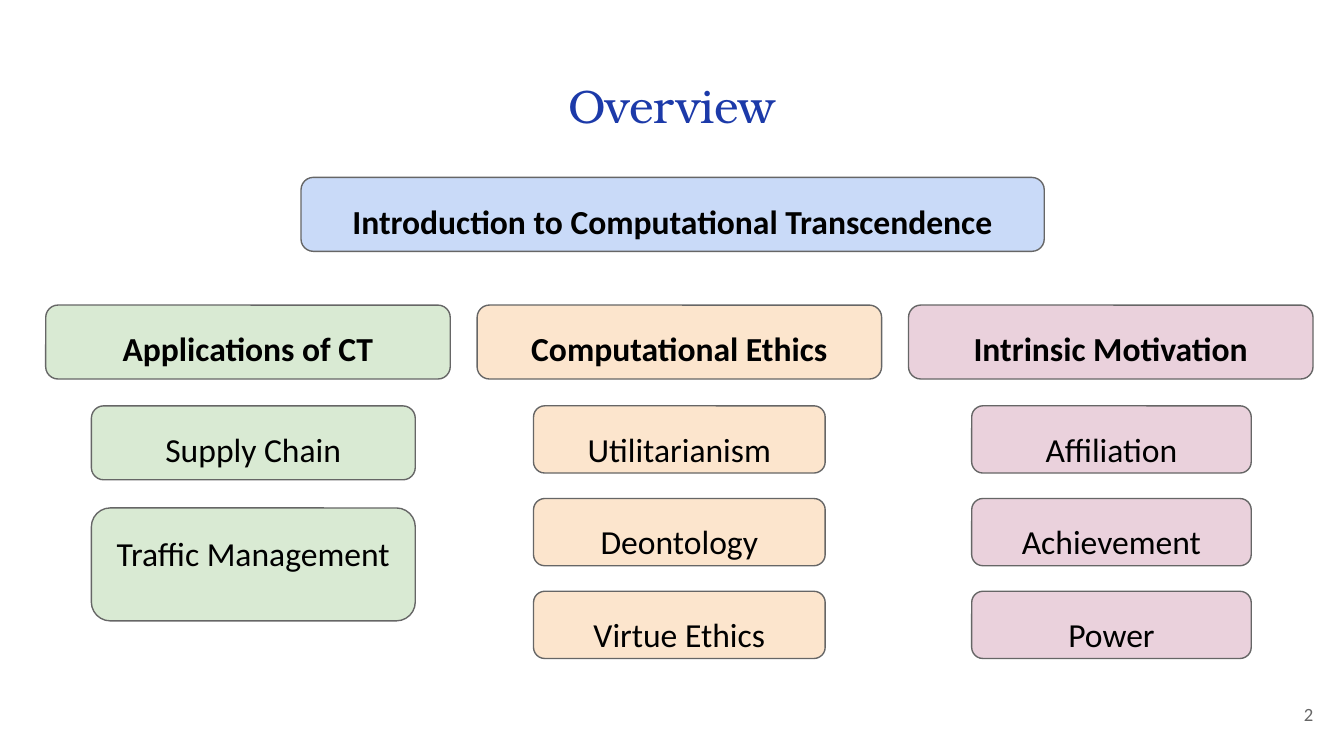
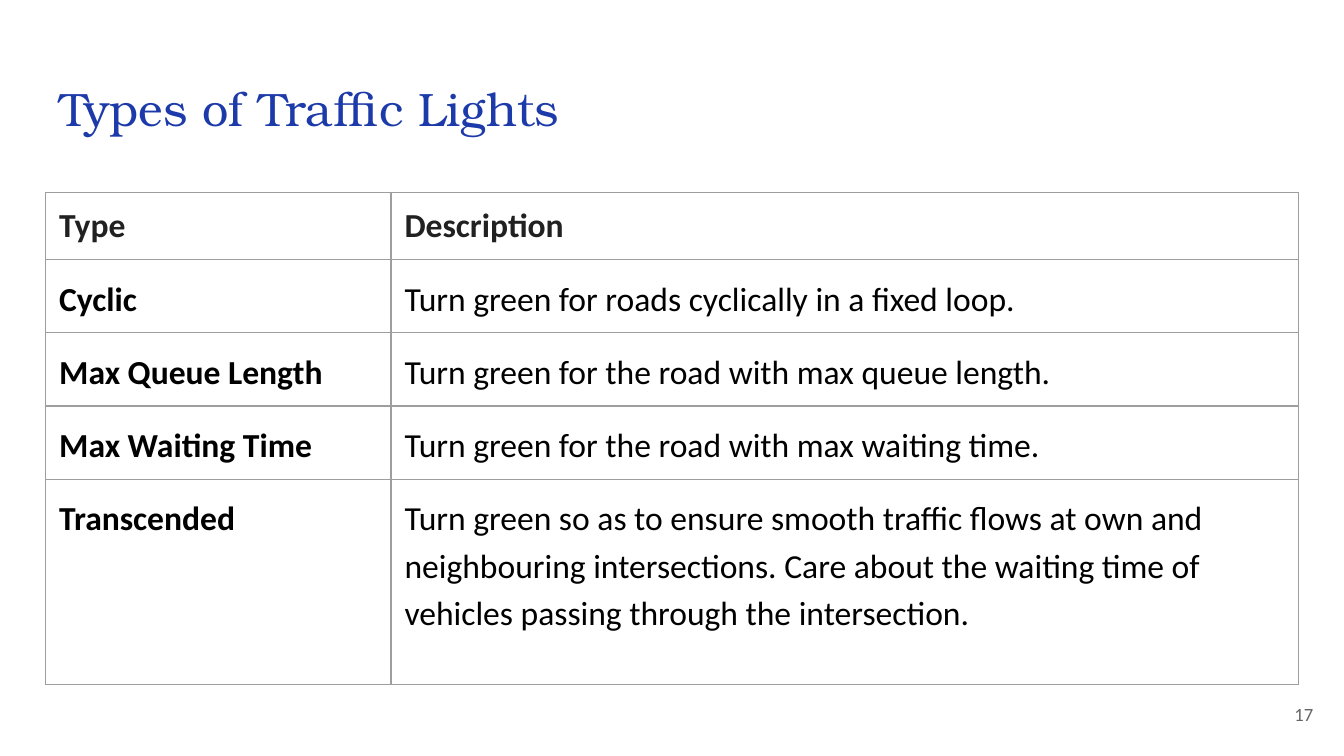
from dataclasses import dataclass

from pptx import Presentation
from pptx.dml.color import RGBColor
from pptx.enum.shapes import MSO_SHAPE as Preset
from pptx.enum.text import MSO_ANCHOR as Anchor, MSO_AUTO_SIZE as AutoSize, PP_ALIGN as Align
from pptx.oxml import parse_xml
from pptx.oxml.ns import nsdecls
from pptx.util import Inches, Pt

SLIDE_WIDTH = 10
SLIDE_HEIGHT = SLIDE_WIDTH * 9 / 16
TITLE_FONT, BODY_FONT = "TeX Gyre Bonum", "Calibri"
TITLE_BLUE, BLACK, HEADER_INK, GREY, BORDER = "1C3AA9", "000000", "212121", "666666", "9E9E9E"
BLUE, GREEN, ORANGE, PINK = "C9DAF8", "D9EAD3", "FCE5CD", "EAD1DC"
MARGIN, CONTENT_WIDTH = 0.34, 9.32
NUMBER_RIGHT = 9.87
INSET = 0.1
BODY_SIZE = 18
HEADING_HEIGHT = 0.55
COLUMN_WIDTH, COLUMN_PITCH, COLUMN_TOP = 3.01, 3.21, 2.27
ITEM_TOP = 3.02


@dataclass
class Topic:
    heading: str
    color: str
    items: list[str]
    item_left: float
    item_width: float
    item_heights: list[float]
    gap: float


TOPICS = [
    Topic("Applications of CT", GREEN, ["Supply Chain", "Traffic Management"],
          0.68, 2.41, [0.55, 0.84], 0.21),
    Topic("Computational Ethics", ORANGE, ["Utilitarianism", "Deontology", "Virtue Ethics"],
          3.97, 2.17, [0.5] * 3, 0.19),
    Topic("Intrinsic Motivation", PINK, ["Affiliation", "Achievement", "Power"],
          7.23, 2.08, [0.5] * 3, 0.19),
]

LIGHT_TYPES = [
    ("Type", "Description"),
    ("Cyclic", "Turn green for roads cyclically in a fixed loop."),
    ("Max Queue Length", "Turn green for the road with max queue length."),
    ("Max Waiting Time", "Turn green for the road with max waiting time."),
    ("Transcended", "Turn green so as to ensure smooth traffic flows at own and neighbouring "
                    "intersections. Care about the waiting time of vehicles passing through "
                    "the intersection."),
]
TABLE_COLUMNS = [2.57, 6.75]
TABLE_ROWS = [0.5, 0.5, 0.5, 0.5, 1.53]


def rgb(color: str) -> RGBColor:
    return RGBColor.from_string(color)


def add_run(paragraph, text: str, size: float, color: str, font: str = BODY_FONT,
            bold: bool = False) -> None:
    run = paragraph.add_run()
    run.text = text
    run.font.name = font
    run.font.size = Pt(size)
    run.font.bold = bold
    run.font.color.rgb = rgb(color)


def space_body(paragraph) -> None:
    paragraph.line_spacing = 1.15
    paragraph.space_before = Pt(12)


def set_insets(target, left: float = INSET, bottom: float = INSET) -> None:
    """Set the inner margins of a text frame or table cell."""
    target.margin_left, target.margin_right = Inches(left), Inches(INSET)
    target.margin_top, target.margin_bottom = Inches(INSET), Inches(bottom)


def add_slide(presentation, title: str, title_top: float, alignment: Align,
              number: str, number_width: float):
    """Add a slide with its title and page number."""
    slide = presentation.slides.add_slide(presentation.slide_layouts[5])
    heading = slide.shapes.title
    heading.left, heading.top = Inches(MARGIN), Inches(title_top)
    heading.width, heading.height = Inches(CONTENT_WIDTH), Inches(0.63)
    frame = heading.text_frame
    frame.auto_size = AutoSize.NONE
    frame.vertical_anchor = Anchor.TOP
    set_insets(frame)
    frame.paragraphs[0].alignment = alignment
    add_run(frame.paragraphs[0], title, 25.1, TITLE_BLUE, TITLE_FONT)

    box = slide.shapes.add_textbox(Inches(NUMBER_RIGHT - number_width), Inches(5.13),
                                   Inches(number_width), Inches(0.37))
    frame = box.text_frame
    frame.word_wrap = False
    frame.vertical_anchor = Anchor.MIDDLE
    set_insets(frame, left=0)
    frame.paragraphs[0].alignment = Align.RIGHT
    add_run(frame.paragraphs[0], number, 10, GREY)
    return slide


def add_box(slide, text: str, color: str, left: float, top: float, width: float,
            height: float, bold: bool = False) -> None:
    shape = slide.shapes.add_shape(Preset.ROUNDED_RECTANGLE, Inches(left), Inches(top),
                                   Inches(width), Inches(height))
    shape.shadow.inherit = False
    shape.fill.solid()
    shape.fill.fore_color.rgb = rgb(color)
    shape.line.color.rgb = rgb(GREY)
    shape.line.width = Pt(0.75)
    frame = shape.text_frame
    frame.word_wrap = True
    frame.vertical_anchor = Anchor.TOP
    set_insets(frame, bottom=0)
    paragraph = frame.paragraphs[0]
    paragraph.alignment = Align.CENTER
    space_body(paragraph)
    add_run(paragraph, text, BODY_SIZE, BLACK, bold=bold)


def add_topic(slide, topic: Topic, left: float) -> None:
    add_box(slide, topic.heading, topic.color, left, COLUMN_TOP, COLUMN_WIDTH,
            HEADING_HEIGHT, bold=True)
    top = ITEM_TOP
    for item, height in zip(topic.items, topic.item_heights):
        add_box(slide, item, topic.color, topic.item_left, top, topic.item_width, height)
        top += height + topic.gap


def set_borders(cell) -> None:
    properties = cell._tc.get_or_add_tcPr()
    for index, side in enumerate(("lnL", "lnR", "lnT", "lnB")):
        properties.insert(index, parse_xml(
            f'<a:{side} {nsdecls("a")} w="{Pt(0.75)}"><a:solidFill>'
            f'<a:srgbClr val="{BORDER}"/></a:solidFill></a:{side}>'))


def add_light_table(slide) -> None:
    table = slide.shapes.add_table(
        len(TABLE_ROWS), len(TABLE_COLUMNS), Inches(MARGIN), Inches(1.43),
        Inches(CONTENT_WIDTH), Inches(sum(TABLE_ROWS))).table
    table.first_row = table.horz_banding = False
    for column, width in zip(table.columns, TABLE_COLUMNS):
        column.width = Inches(width)
    for row_index, (row, height) in enumerate(zip(table.rows, TABLE_ROWS)):
        row.height = Inches(height)
        is_header = row_index == 0
        for column_index, cell in enumerate(row.cells):
            cell.fill.background()
            set_borders(cell)
            set_insets(cell)
            paragraph = cell.text_frame.paragraphs[0]
            if not is_header:
                space_body(paragraph)
            add_run(paragraph, LIGHT_TYPES[row_index][column_index], BODY_SIZE,
                    HEADER_INK if is_header else BLACK,
                    bold=is_header or column_index == 0)


def main() -> None:
    presentation = Presentation()
    presentation.slide_width = Inches(SLIDE_WIDTH)
    presentation.slide_height = Inches(SLIDE_HEIGHT)

    overview = add_slide(presentation, "Overview", 0.47, Align.CENTER, "2", 0.3)
    add_box(overview, "Introduction to Computational Transcendence", BLUE,
            2.24, 1.32, 5.53, HEADING_HEIGHT, bold=True)
    for index, topic in enumerate(TOPICS):
        add_topic(overview, topic, MARGIN + index * COLUMN_PITCH)

    lights = add_slide(presentation, "Types of Traffic Lights", 0.49, Align.LEFT, "17", 0.33)
    add_light_table(lights)

    presentation.save("out.pptx")


if __name__ == "__main__":
    main()
